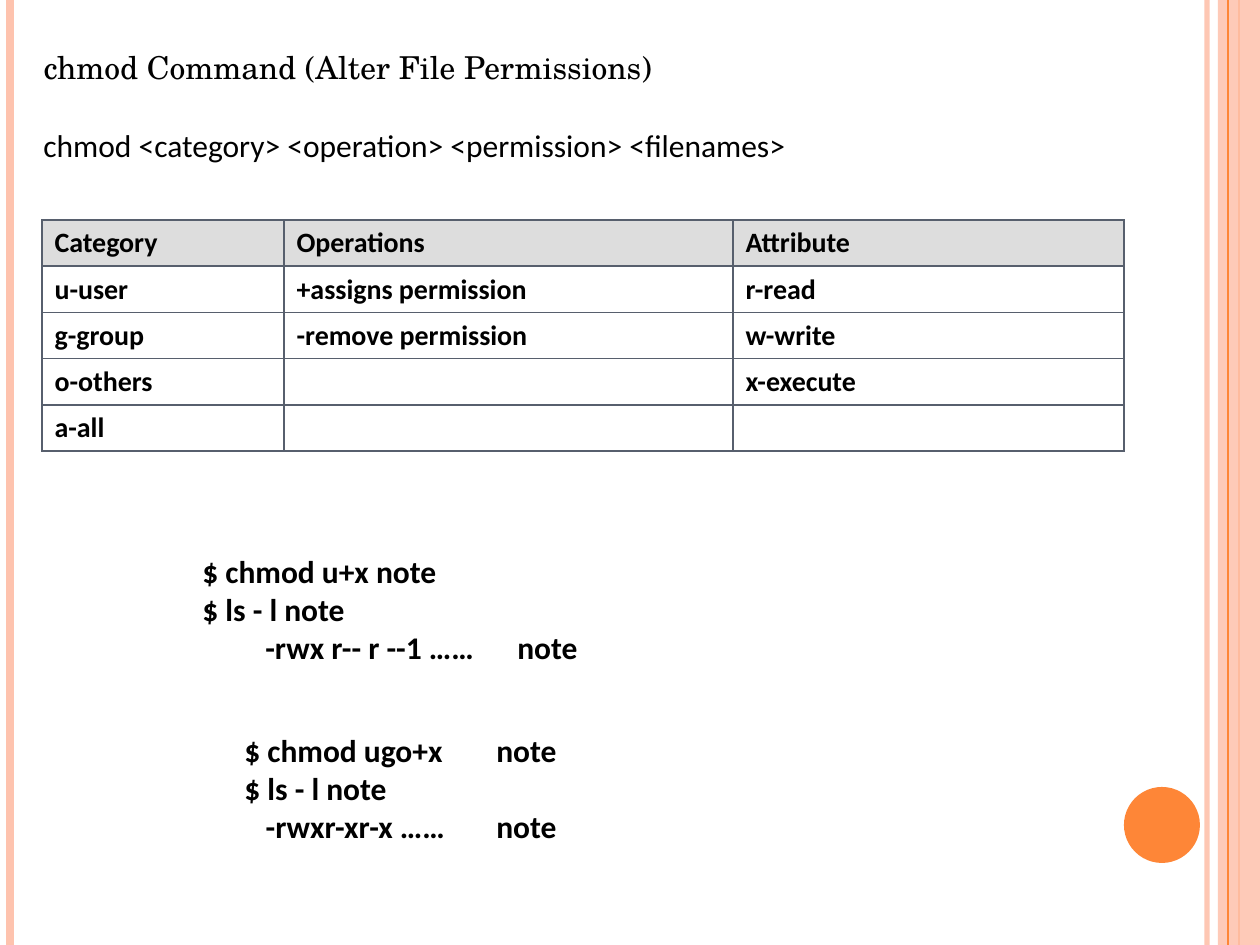
from dataclasses import dataclass

from lxml import etree
from pptx import Presentation, util as u
from pptx.dml.color import RGBColor
from pptx.enum import shapes, text
from pptx.oxml.ns import qn

PX_PER_INCH = 126
PAGE_WIDTH, PAGE_HEIGHT = 1260, 945


@dataclass(frozen=True)
class Theme:
    ink: str = "000000"
    orange: str = "FE8637"
    peach: str = "FEC3AE"
    header: str = "DDDDDD"
    border: str = "575F6D"
    title_font: str = "TeX Gyre Schola"
    body_font: str = "Calibri"
    body_size: int = 18
    table_size: int = 16


def px(length):
    return u.Emu(round(length * u.Inches(1) / PX_PER_INCH))


def rgb(color):
    return RGBColor.from_string(color)


def set_alpha(element, percent):
    """Make the first solid colour inside the element partly transparent."""
    color = next(element.iter(qn("a:srgbClr")))
    etree.SubElement(color, qn("a:alpha"), val=str(percent * 1000))


class Page:
    def __init__(self, deck, theme):
        self.theme = theme
        self.slide = deck.slides.add_slide(deck.slide_layouts[5])
        self.shapes = self.slide.shapes

    def style(self, para, size=None, font=None, bold=False):
        para.font.size = u.Pt(size or self.theme.body_size)
        para.font.name = font or self.theme.body_font
        para.font.bold = bold
        para.font.color.rgb = rgb(self.theme.ink)

    def vertical_rule(self, x, color, points, alpha=None):
        rule = self.shapes.add_connector(
            shapes.MSO_CONNECTOR.STRAIGHT, px(x), 0, px(x), px(PAGE_HEIGHT))
        rule.line.color.rgb = rgb(color)
        rule.line.width = u.Pt(points)
        if alpha:
            set_alpha(rule.line._ln, alpha)
        etree.SubElement(rule._element.spPr, qn("a:effectLst"))

    def shape(self, kind, left, top, width, height, color, alpha=None):
        shape = self.shapes.add_shape(kind, px(left), px(top), px(width), px(height))
        shape.shadow.inherit = False
        shape.fill.solid()
        shape.fill.fore_color.rgb = rgb(color)
        shape.line.fill.background()
        if alpha:
            set_alpha(shape._element.spPr, alpha)

    def title(self, wording, left, top, width, height):
        title = self.shapes.title
        title.left, title.top = px(left), px(top)
        title.width, title.height = px(width), px(height)
        frame = title.text_frame
        frame.text = wording
        frame.auto_size = text.MSO_AUTO_SIZE.NONE
        frame.vertical_anchor = text.MSO_ANCHOR.TOP
        frame.paragraphs[0].alignment = text.PP_ALIGN.LEFT
        self.style(frame.paragraphs[0], font=self.theme.title_font)

    def text_box(self, lines, left, top, width, height, indent=0, bold=False):
        box = self.shapes.add_textbox(px(left), px(top), px(width), px(height))
        frame = box.text_frame
        frame.word_wrap = True
        frame.text = "\n".join(lines)
        for para in frame.paragraphs:
            para._p.get_or_add_pPr().set("marL", str(px(indent)))
            self.style(para, bold=bold)

    def border_cell(self, cell):
        properties = cell._tc.get_or_add_tcPr()
        for index, side in enumerate(("lnL", "lnR", "lnT", "lnB")):
            line = etree.Element(qn(f"a:{side}"), w=str(u.Pt(1)))
            fill = etree.SubElement(line, qn("a:solidFill"))
            etree.SubElement(fill, qn("a:srgbClr"), val=self.theme.border)
            properties.insert(index, line)

    def table(self, rows, left, top, column_widths, row_height):
        frame = self.shapes.add_table(
            len(rows), len(column_widths), px(left), px(top),
            px(sum(column_widths)), px(row_height * len(rows)))
        table = frame.table
        table.horz_banding = table.first_row = False
        for column, width in zip(table.columns, column_widths):
            column.width = px(width)
        for row_index, row in enumerate(rows):
            for column_index, wording in enumerate(row):
                cell = table.cell(row_index, column_index)
                if row_index == 0:
                    cell.fill.solid()
                    cell.fill.fore_color.rgb = rgb(self.theme.header)
                else:
                    cell.fill.background()
                self.border_cell(cell)
                para = cell.text_frame.paragraphs[0]
                para.text = wording
                self.style(para, self.theme.table_size, bold=True)
                if not wording:
                    etree.SubElement(para._p, qn("a:endParaRPr"),
                                     sz=str(self.theme.table_size * 100))


def main():
    deck = Presentation()
    deck.slide_width, deck.slide_height = px(PAGE_WIDTH), px(PAGE_HEIGHT)
    theme = Theme()
    page = Page(deck, theme)

    page.vertical_rule(1207, theme.peach, 3, alpha=93)
    page.vertical_rule(10, theme.peach, 4.5)
    page.vertical_rule(1239, theme.orange, 1.5)
    page.shape(shapes.MSO_SHAPE.RECTANGLE, 1218, 0, 42, PAGE_HEIGHT, theme.peach, alpha=87)
    page.vertical_rule(1228, theme.orange, 0.75)
    page.shape(shapes.MSO_SHAPE.OVAL, 1124, 787, 76, 76, theme.orange)

    page.title("chmod Command (Alter File Permissions)", 31, 42, 851, 52)
    page.text_box(["chmod <category> <operation> <permission> <filenames>"],
                  31, 120, 851, 51)
    page.table([
        ("Category", "Operations", "Attribute"),
        ("u-user", "+assigns permission", "r-read"),
        ("g-group", "-remove permission", "w-write"),
        ("o-others", "", "x-execute"),
        ("a-all", "", ""),
    ], 42, 220, (242, 449, 391), 46)

    examples = [
        (126, 546, ["$ chmod u+x note", "$ ls - l note", "\t-rwx r-- r --1 ……\tnote"]),
        (168, 725, ["$ chmod ugo+x\tnote", "$ ls - l note", "   -rwxr-xr-x ……\tnote"]),
    ]
    for left, top, lines in examples:
        page.text_box(lines, left, top, 630, 127, indent=64, bold=True)

    deck.save("out.pptx")


if __name__ == "__main__":
    main()
